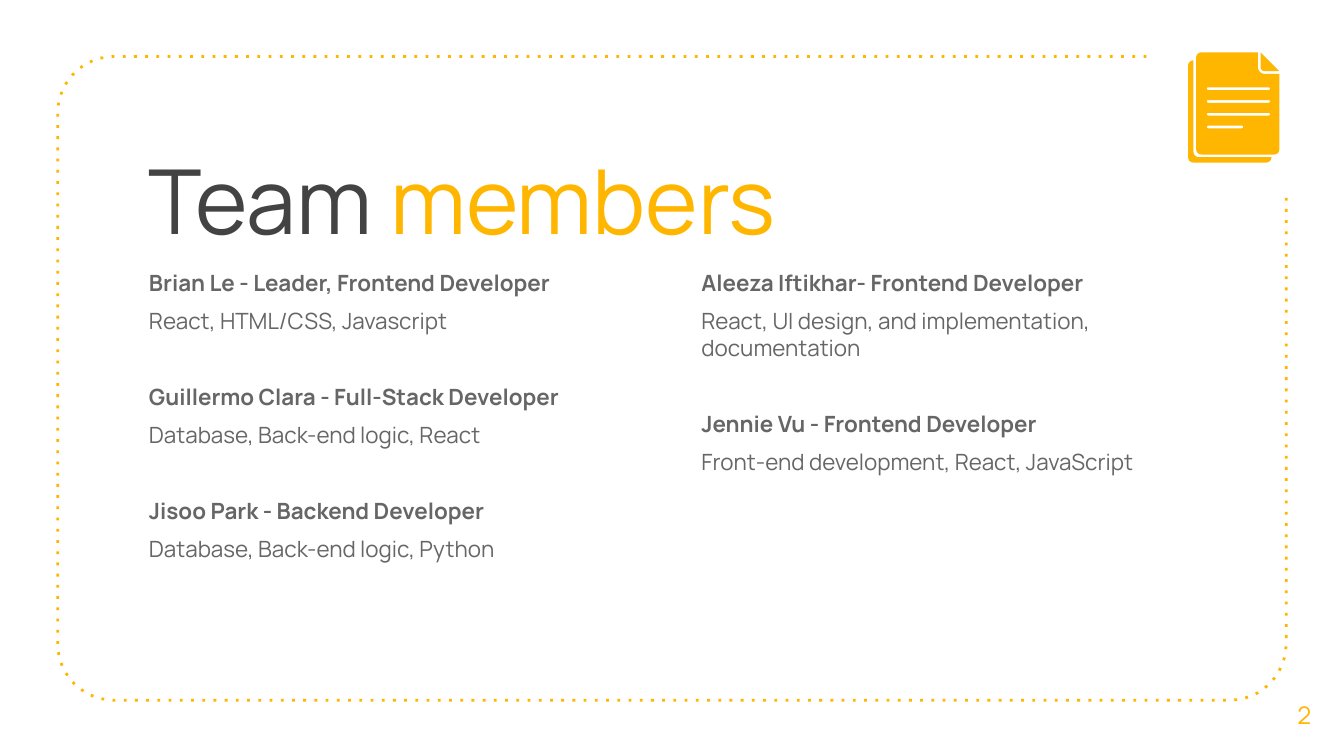
from math import cos, radians, sin

from pptx import Presentation
from pptx.dml.color import RGBColor
from pptx.enum.dml import MSO_LINE
from pptx.enum.text import MSO_ANCHOR as ANCHOR, PP_ALIGN as ALIGN
from pptx.oxml.ns import qn
from pptx.util import Inches, Pt

FONT = "Manrope"
YELLOW = RGBColor(0xFF, 0xB6, 0x00)
DARK = RGBColor(0x43, 0x43, 0x43)
GRAY = RGBColor(0x66, 0x66, 0x66)

TITLE = [("Team ", DARK), ("members", YELLOW)]
COLUMNS = [
    [
        ("Brian Le - Leader, Frontend Developer", "React, HTML/CSS, Javascript"),
        ("Guillermo Clara - Full-Stack Developer", "Database, Back-end logic, React"),
        ("Jisoo Park - Backend Developer", "Database, Back-end logic, Python"),
    ],
    [
        ("Aleeza Iftikhar- Frontend Developer",
         "React, UI design, and implementation, documentation"),
        ("Jennie Vu - Frontend Developer", "Front-end development, React, JavaScript"),
    ],
]
PAGE_NUMBER = "2"

SLIDE_WIDTH = Inches(10)
SLIDE_HEIGHT = SLIDE_WIDTH * 9 // 16
COLUMN_LEFT, COLUMN_STEP = 1.01, 4.11
LINE_GAP, MEMBER_GAP = 6, 26.4
ICON_RULE_ENDS = [9.44, 9.44, 9.44, 9.24]


def arc(cx, cy, r, start, end, steps=12):
    """Points along a circle; degrees run clockwise from the right."""
    angles = [radians(start + (end - start) * i / steps) for i in range(steps + 1)]
    return [(cx + r * cos(a), cy + r * sin(a)) for a in angles]


def rounded_side(left, top, right, bottom, r):
    """Outline from the top left, down and around to the right side."""
    return (arc(left + r, top + r, r, 270, 180)
            + arc(left + r, bottom - r, r, 180, 90)
            + arc(right - r, bottom - r, r, 90, 0))


def add_outline(shapes, contours, close=True):
    """Draw contours as one freeform; inner contours become holes."""
    paths = [[(Inches(x), Inches(y)) for x, y in c] for c in contours]
    builder = shapes.build_freeform(*paths[0][0], scale=1.0)
    builder.add_line_segments(paths[0][1:], close=close)
    for points in paths[1:]:
        builder.move_to(*points[0])
        builder.add_line_segments(points[1:], close=close)
    sp = builder.convert_to_shape()
    sp.shadow.inherit = False
    return sp


def add_frame(shapes):
    points = [(8.53, 0.42)] + rounded_side(0.43, 0.42, 9.57, 5.21, 0.42) + [(9.57, 1.46)]
    sp = add_outline(shapes, [points], close=False)
    sp.fill.background()
    sp.line.color.rgb = YELLOW
    sp.line.width = Pt(1.5)
    sp.line.dash_style = MSO_LINE.ROUND_DOT
    next(sp._element.iter(qn("a:prstDash"))).set("val", "dot")


def add_document_icon(shapes):
    back = rounded_side(8.84, 0.45, 9.46, 1.21, 0.04) + arc(8.92, 1.13, 0.04, 90, 180)
    page = (rounded_side(8.9, 0.39, 9.52, 1.15, 0.04) + [(9.52, 0.55)]
            + arc(9.41, 0.5, 0.05, 90, 180) + [(9.36, 0.39)])
    rules = []
    for i, right in enumerate(ICON_RULE_ENDS):
        y = 0.66 + 0.19 * i / 2
        rules.append(arc(8.99, y, 0.01, 270, 90) + arc(right, y, 0.01, 90, -90))
    fold = [(9.38, 0.39)] + arc(9.41, 0.5, 0.03, 180, 90) + [(9.52, 0.53)]

    group = shapes.add_group_shape()
    for contours in ([back], [page] + rules, [fold]):
        sp = add_outline(group.shapes, contours)
        sp.fill.solid()
        sp.fill.fore_color.rgb = YELLOW
        sp.line.fill.background()


def add_text(shapes, box, paragraphs, size, align=ALIGN.LEFT, anchor=ANCHOR.TOP):
    """Each paragraph is (space before, [(text, colour, bold), ...])."""
    tf = shapes.add_textbox(*map(Inches, box)).text_frame
    tf.word_wrap = True
    tf.vertical_anchor = anchor
    tf.margin_left = tf.margin_right = tf.margin_top = tf.margin_bottom = Inches(0.1)
    for i, (gap, runs) in enumerate(paragraphs):
        p = tf.add_paragraph() if i else tf.paragraphs[0]
        p.alignment = align
        p.space_before = Pt(gap)
        for text, color, bold in runs:
            r = p.add_run()
            r.text = text
            r.font.name = FONT
            r.font.size = Pt(size)
            r.font.bold = bold
            r.font.color.rgb = color


def main():
    prs = Presentation()
    prs.slide_width, prs.slide_height = SLIDE_WIDTH, SLIDE_HEIGHT
    shapes = prs.slides.add_slide(prs.slide_layouts[6]).shapes

    add_frame(shapes)
    title_runs = [(text, color, False) for text, color in TITLE]
    add_text(shapes, (COLUMN_LEFT, 0.98, 7.51, 0.94), [(0, title_runs)], size=48)

    for col, members in enumerate(COLUMNS):
        paragraphs = []
        for i, (member, skills) in enumerate(members):
            paragraphs.append((MEMBER_GAP if i else LINE_GAP, [(member, GRAY, True)]))
            paragraphs.append((LINE_GAP, [(skills, GRAY, False)]))
        box = (COLUMN_LEFT + col * COLUMN_STEP, 1.9, 3.88, 2.36)
        add_text(shapes, box, paragraphs, size=12)

    add_text(shapes, (9.41, 5.02, 0.59, 0.6), [(0, [(PAGE_NUMBER, YELLOW, False)])],
             size=13, align=ALIGN.CENTER, anchor=ANCHOR.MIDDLE)
    add_document_icon(shapes)
    prs.save("out.pptx")


if __name__ == "__main__":
    main()
